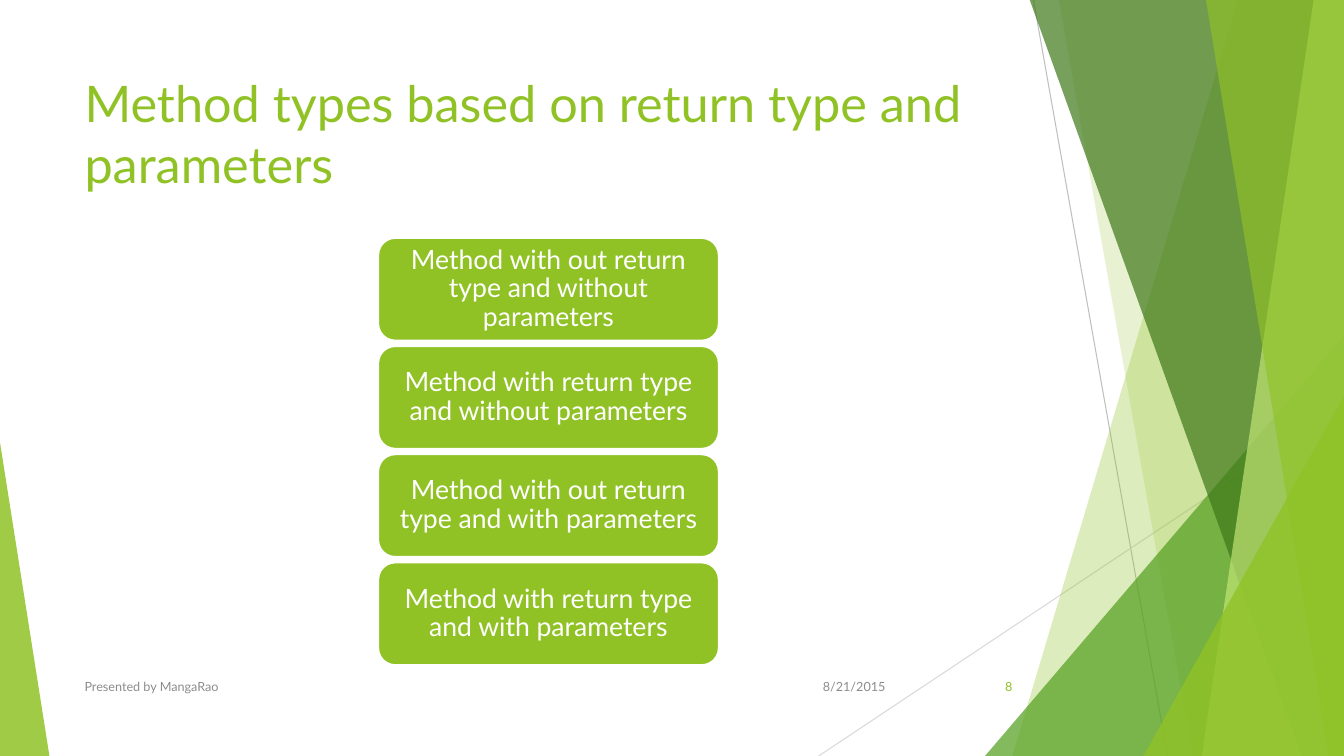
from pptx import Presentation
from pptx import util as u
from pptx.dml import color
from pptx.enum import shapes, text
from pptx.oxml import parse_xml
from pptx.oxml.ns import nsdecls, qn

W, H = 13.33, 7.5
HUES = {"lime": "90C226", "leaf": "54A021", "moss": "3F7819", "pale": "C0E474",
        "white": "FFFFFF", "gray": "8C8C8C", "mid": "BFBFBF", "light": "D9D9D9"}
RAYS = [((10.25, 0), (11.58, H), "mid"), ((W, 4.03), (8.12, H), "light")]
FACETS = [
    ("band", 12.28, 10.04, "lime", 30),
    ("band", 10.5, 11.83, "lime", 20),
    ("peak", (9.77, 3.33, 3.56, 4.17), 1, "leaf", 72),
    ("band", 10.21, 12.91, "moss", 70),
    ("band", 13.03, 11.92, "pale", 70),
    ("band", 11.96, 13.18, "lime", 65),
    ("peak", (11.34, 3.93, 1.99, 3.57), 1, "lime", 80),
    ("peak", (0, 4.39, 0.49, 3.11), 0, "lime", 85),
]
KINDS = [
    "Method with out return type and without parameters",
    "Method with return type and without parameters",
    "Method with out return type and with parameters",
    "Method with return type and with parameters",
]
LEFT, RIGHT = text.PP_ALIGN.LEFT, text.PP_ALIGN.RIGHT
TOP, MID = text.MSO_ANCHOR.TOP, text.MSO_ANCHOR.MIDDLE
LABELS = [
    ("Method types based on return type and parameters",
     (0.74, 0.67, 9.4, 1.44), 36, "lime", LEFT, TOP),
    ("8/21/2015", (7.88, 6.61, 1, 0.4), 9, "gray", RIGHT, MID),
    ("Presented by MangaRao", (0.74, 6.61, 6.89, 0.4), 9, "gray", LEFT, MID),
    ("8", (9.39, 6.61, 0.75, 0.4), 9, "lime", RIGHT, MID),
]
CARD = {"left": 3.75, "top": 2.36, "wide": 3.38, "high": 1.02, "step": 1.073}
PADS = {"margin_left": 0.08, "margin_right": 0.08,
        "margin_top": 0.04, "margin_bottom": 0.04}


def tint(name):
    return color.RGBColor.from_string(HUES[name])


def put(item, vals):
    for key, val in vals.items():
        setattr(item, key, val)


def box(vals):
    return [u.Inches(v) for v in vals]


def paint(shape, hue, alpha=100):
    shape.shadow.inherit = False
    shape.fill.solid()
    shape.fill.fore_color.rgb = tint(hue)
    shape.line.fill.background()
    if alpha < 100:
        node = shape.fill._xPr.find(qn("a:solidFill"))[0]
        node.append(parse_xml(f'<a:alpha {nsdecls("a")} val="{alpha * 1000}"/>'))


def write(shape, words, size, hue, align, anchor):
    frame = shape.text_frame
    put(frame, {"word_wrap": True, "vertical_anchor": anchor})
    para = frame.paragraphs[0]
    para.alignment = align
    run = para.add_run()
    run.text = words
    put(run.font, {"name": "Lato", "size": u.Pt(size)})
    run.font.color.rgb = tint(hue)
    return frame


deck = Presentation()
put(deck, {"slide_width": u.Inches(W), "slide_height": u.Inches(H)})
tree = deck.slides.add_slide(deck.slide_layouts[6]).shapes

for start, end, hue in RAYS:
    ray = tree.add_connector(shapes.MSO_CONNECTOR.STRAIGHT, *box(start + end))
    ray.line.color.rgb = tint(hue)
    ray.line.width = u.Pt(0.75)
    ray._element.spPr.append(parse_xml(f'<a:effectLst {nsdecls("a")}/>'))

for form, place, foot, hue, alpha in FACETS:
    if form == "band":
        pen = tree.build_freeform(*box((place, -0.01)), scale=1.0)
        ends = [(W, -0.01), (W, H), (foot, H)]
        pen.add_line_segments([box(end) for end in ends], close=True)
        facet = pen.convert_to_shape()
    else:
        facet = tree.add_shape(shapes.MSO_SHAPE.ISOSCELES_TRIANGLE, *box(place))
        facet.adjustments[0] = foot
    paint(facet, hue, alpha)

for row, words in enumerate(KINDS):
    place = (CARD["left"], CARD["top"] + row * CARD["step"], CARD["wide"], CARD["high"])
    card = tree.add_shape(shapes.MSO_SHAPE.ROUNDED_RECTANGLE, *box(place))
    paint(card, "lime")
    card.line.color.rgb = tint("white")
    card.line.width = u.Pt(1.5)
    frame = write(card, words, 19, "white", text.PP_ALIGN.CENTER, MID)
    put(frame, {key: u.Inches(val) for key, val in PADS.items()})
    frame.paragraphs[0].line_spacing = 0.9

for words, place, *style in LABELS:
    write(tree.add_textbox(*box(place)), words, *style)

deck.save("out.pptx")
